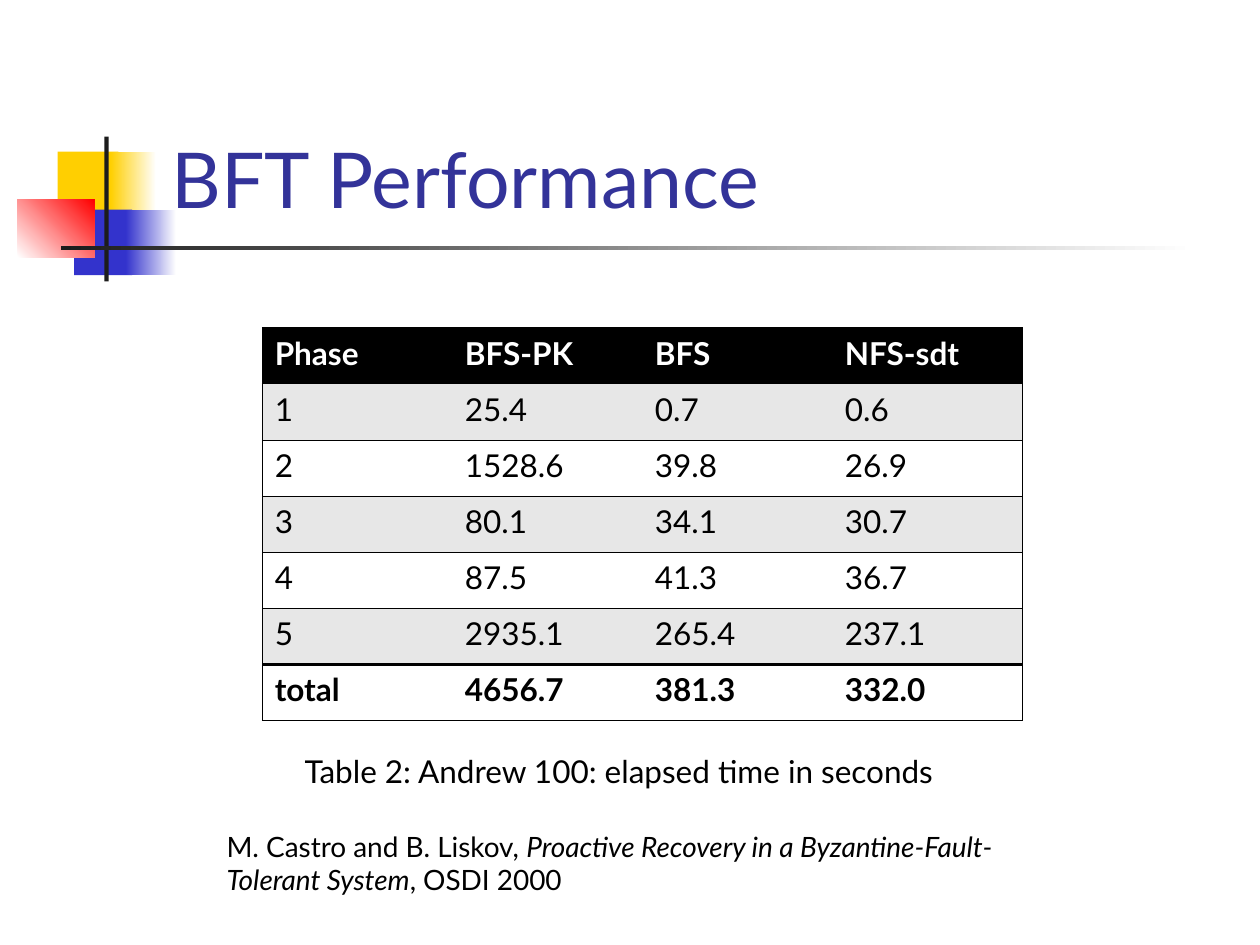
from lxml.etree import SubElement
from pptx import Presentation
from pptx.dml.color import RGBColor
from pptx.enum.shapes import MSO_SHAPE
from pptx.enum.text import MSO_ANCHOR, MSO_AUTO_SIZE as AUTO, PP_ALIGN
from pptx.oxml.ns import qn
from pptx.util import Pt

YELLOW = RGBColor(0xFF, 0xCF, 0x01)
BLUE = RGBColor(0x33, 0x33, 0xCC)
RED = RGBColor(0xFF, 0x00, 0x00)
CHARCOAL = RGBColor(0x1C, 0x1C, 0x1C)
INDIGO = RGBColor(0x33, 0x33, 0x99)
BLACK = RGBColor(0x00, 0x00, 0x00)
GREY = RGBColor(0xE7, 0xE7, 0xE7)
WHITE = RGBColor(0xFF, 0xFF, 0xFF)

FONT = "Lato"
THIN, THICK = 0.45, 1.98

RESULTS = [
    ("Phase", "BFS-PK", "BFS", "NFS-sdt"),
    ("1", "25.4", "0.7", "0.6"),
    ("2", "1528.6", "39.8", "26.9"),
    ("3", "80.1", "34.1", "30.7"),
    ("4", "87.5", "41.3", "36.7"),
    ("5", "2935.1", "265.4", "237.1"),
    ("total", "4656.7", "381.3", "332.0"),
]
CITATION = [
    ("M. Castro and B. Liskov, ", False),
    ("Proactive Recovery in a Byzantine-Fault-Tolerant System", True),
    (", OSDI 2000", False),
]


def set_font(font, color, **formats):
    for name, value in {"name": FONT, **formats}.items():
        setattr(font, name, value)
    font.color.rgb = color


def add_motif(slide, left, top):
    """Coloured squares and crossing rules beside the title."""
    # offset x, offset y, width, height, colours from start to end, angle
    parts = [
        (23, 8.6, 34.6, 37.4, [YELLOW], 0),
        (53.3, 8.6, 25.9, 37.4, [YELLOW, WHITE], 0),
        (32.4, 41.8, 33.1, 37.4, [BLUE], 0),
        (62, 41.8, 28.8, 37.4, [BLUE, WHITE], 0),
        (0, 36, 43.9, 33.1, [WHITE, RED], 45),
        (49.7, 0, 2.5, 82.8, [CHARCOAL], 0),
        (24.8, 62.6, 648, 2.5, [CHARCOAL, WHITE], 0),
    ]
    for x, y, width, height, colors, angle in parts:
        block = slide.shapes.add_shape(
            MSO_SHAPE.RECTANGLE, Pt(left + x), Pt(top + y), Pt(width), Pt(height))
        block.shadow.inherit = False
        block.line.fill.background()
        if len(colors) == 1:
            block.fill.solid()
            block.fill.fore_color.rgb = colors[0]
        else:
            block.fill.gradient()
            block.fill.gradient_angle = angle
            for stop, color in zip(block.fill.gradient_stops, colors):
                stop.color.rgb = color


def place_title(slide, left, top, width, height):
    title = slide.shapes.title
    box = {"left": left, "top": top, "width": width, "height": height}
    for side, length in box.items():
        setattr(title, side, Pt(length))
    frame = title.text_frame
    frame.text = "BFT Performance"
    frame.vertical_anchor = MSO_ANCHOR.BOTTOM
    frame.auto_size = AUTO.NONE
    heading = frame.paragraphs[0]
    heading.alignment = PP_ALIGN.LEFT
    set_font(heading.runs[0].font, INDIGO, size=Pt(44))
    slide.shapes._spTree.append(title._element)  # in front of the motif


def set_borders(cell, widths):
    """Draw the left, right, top and bottom borders; zero width means none."""
    properties = cell._tc.get_or_add_tcPr()
    for side, width in zip("LRTB", widths):
        border = SubElement(properties, qn(f"a:ln{side}"), w=str(Pt(width)))
        if width:
            fill = SubElement(border, qn("a:solidFill"))
            SubElement(fill, qn("a:srgbClr"), val=str(BLACK))
        else:
            SubElement(border, qn("a:noFill"))


def add_results(slide, left, top, width, height):
    rows, columns = len(RESULTS), len(RESULTS[0])
    table = slide.shapes.add_table(
        rows, columns, Pt(left), Pt(top), Pt(width), Pt(height)).table
    header, total = 0, rows - 1
    rules = [THIN] * (rows + 1)
    rules[total] = THICK
    for r, values in enumerate(RESULTS):
        table.rows[r].height = Pt(height / rows)
        background = BLACK if r == header else GREY if r % 2 else WHITE
        for c, value in enumerate(values):
            cell = table.cell(r, c)
            cell.text = value
            set_font(cell.text_frame.paragraphs[0].runs[0].font,
                     WHITE if r == header else BLACK,
                     size=Pt(18), bold=r in (header, total))
            set_borders(cell, (THIN if c == 0 else 0,
                               THIN if c == columns - 1 else 0,
                               rules[r], rules[r + 1]))
            cell.fill.solid()
            cell.fill.fore_color.rgb = background


def add_note(slide, left, top, width, height, runs, size, wrap):
    """A line of text made of (text, italic) runs."""
    frame = slide.shapes.add_textbox(
        Pt(left), Pt(top), Pt(width), Pt(height)).text_frame
    frame.word_wrap = wrap
    frame.auto_size = AUTO.SHAPE_TO_FIT_TEXT
    for text, italic in runs:
        run = frame.paragraphs[0].add_run()
        run.text = text
        set_font(run.font, BLACK, size=Pt(size), italic=italic)


def main():
    deck = Presentation()
    deck.slide_width, deck.slide_height = Pt(720), Pt(540)
    slide = deck.slides.add_slide(deck.slide_layouts[5])
    add_motif(slide, 10, 78)
    place_title(slide, 90.7, 16.6, 613.4, 115.2)
    add_results(slide, 149.8, 187.2, 434.4, 224.7)
    add_note(slide, 167, 426.2, 398.2, 28.8,
             [("Table 2: Andrew 100: elapsed time in seconds", False)], 18, False)
    add_note(slide, 122.4, 470.2, 496.8, 46, CITATION, 16, True)
    deck.save("out.pptx")


if __name__ == "__main__":
    main()
